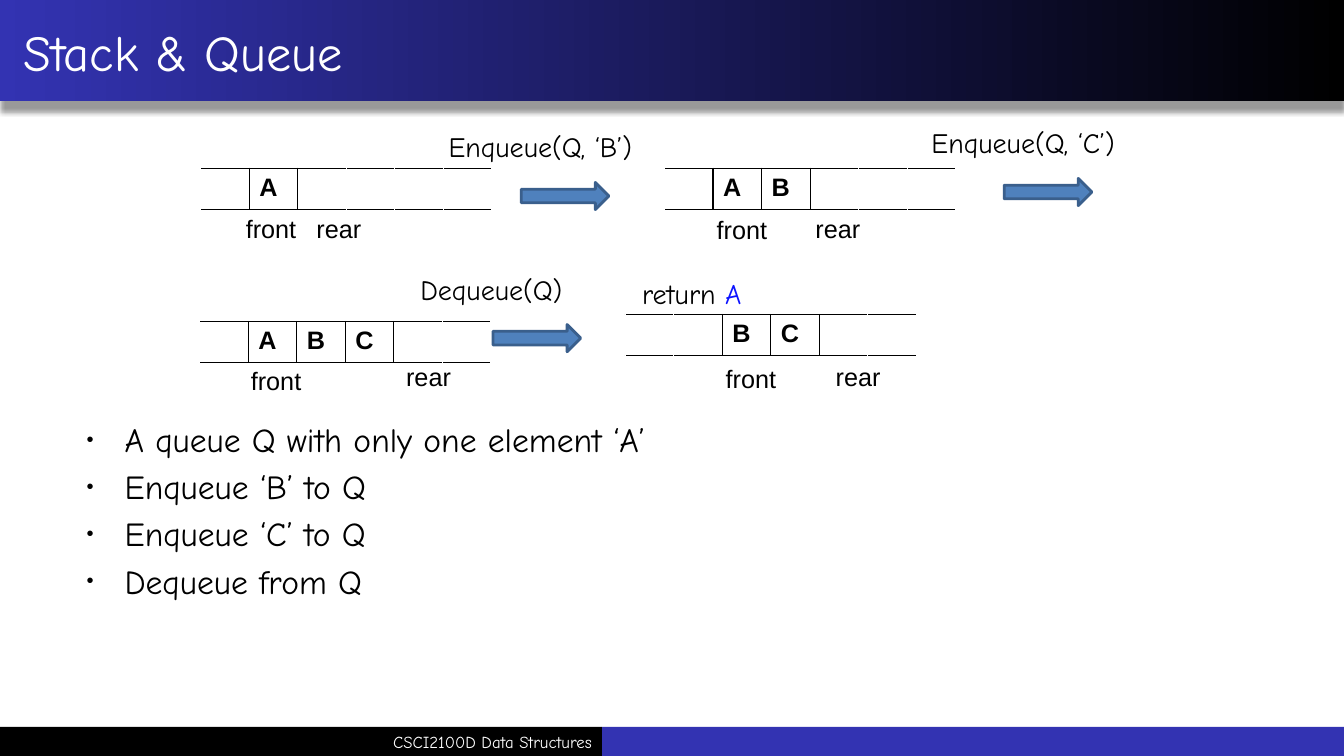
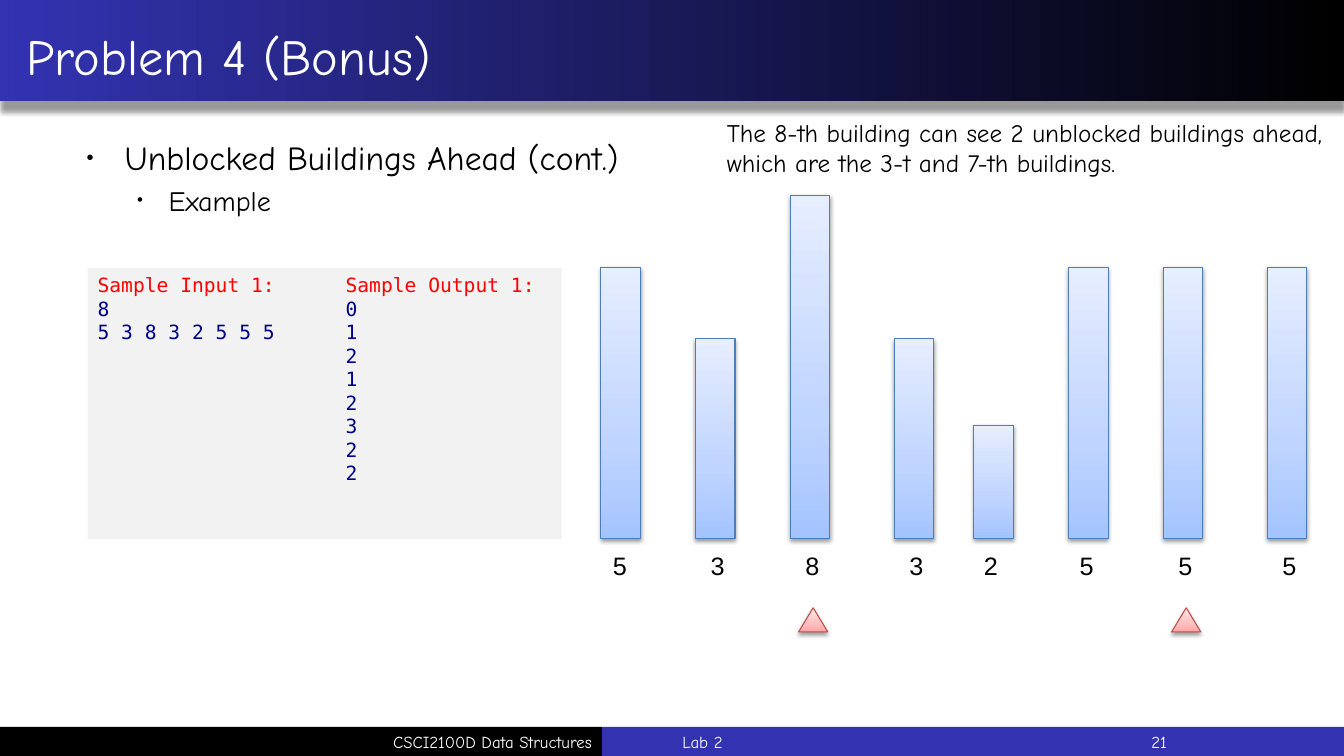
from dataclasses import dataclass

from pptx import Presentation
from pptx.dml.color import RGBColor
from pptx.enum.shapes import MSO_SHAPE as Shape
from pptx.enum.text import MSO_ANCHOR as Anchor, PP_ALIGN as Align
from pptx.oxml.ns import qn
from pptx.util import Inches, Pt
from lxml.etree import SubElement


@dataclass(frozen=True)
class Theme:
    hand: str = "Comic Neue"
    sans: str = "Arial"
    mono: str = "DejaVu Sans Mono"
    black: str = "000000"
    white: str = "FFFFFF"
    blue: str = "3333B2"
    accent: str = "0D14FF"
    arrow: str = "4F81BD"
    arrow_edge: str = "3A5F8C"
    panel: str = "F2F2F2"
    code_head: str = "FF0000"
    code: str = "000088"
    building_edge: str = "4B7EBC"
    marker_edge: str = "BF4C48"
    band: tuple = ((0, "000000"), (100, "3333B2"))
    building: tuple = ((0, "A4C4FF"), (35, "BFD4FF"), (100, "E6EEFF"))
    marker: tuple = ((0, "FFA6A5"), (35, "FFC0BF"), (100, "FFE7E7"))
    # opacity in percent, blur and distance in points
    band_shadow: tuple = (40, 4, 7)
    soft_shadow: tuple = (38, 3.1, 1.6)
    title_size: int = 36
    list_sizes: tuple = (24, 20)
    step_size: int = 20
    label_size: int = 18
    code_size: int = 14
    footer_size: int = 12


THEME = Theme()
WIDTH, HEIGHT = 13.33, 7.5
FOOTER_TOP, FOOTER_HEIGHT = 7.21, 0.29
FOOTER_SPLIT = 5.97
QUEUE_CELLS, QUEUE_WIDTH, QUEUE_HEIGHT = 6, 2.89, 0.41
BUILDING_WIDTH, GROUND = 0.39, 5.34
BUILDING_HEIGHTS = {2: 1.12, 3: 1.98, 5: 2.69, 8: 3.4}


def box(left, top, width, height):
    return tuple(Inches(length) for length in (left, top, width, height))


def add_color(parent, value):
    return SubElement(parent, qn("a:srgbClr"), val=value)


def set_gradient(shape, stops, angle):
    shape.fill.gradient()
    gradient = shape.element.spPr.find(qn("a:gradFill"))
    for child in list(gradient):
        gradient.remove(child)
    stop_list = SubElement(gradient, qn("a:gsLst"))
    for position, color in stops:
        add_color(SubElement(stop_list, qn("a:gs"), pos=str(position * 1000)), color)
    SubElement(gradient, qn("a:lin"), ang=str(angle * 60000), scaled="0")


def set_shadow(shape, opacity, blur, distance):
    effects = shape.element.spPr.find(qn("a:effectLst"))
    shadow = SubElement(effects, qn("a:outerShdw"), blurRad=str(Pt(blur)),
                        dist=str(Pt(distance)), dir=str(90 * 60000), rotWithShape="0")
    SubElement(add_color(shadow, THEME.black), qn("a:alpha"), val=str(opacity * 1000))


def set_borders(cell, **colors):
    properties = cell._tc.get_or_add_tcPr()
    for side in "LRTB":
        line = SubElement(properties, qn(f"a:ln{side}"), w=str(Pt(1)))
        add_color(SubElement(line, qn("a:solidFill")), colors[side])


def style(paragraph, font, size, color, bold=False):
    for run in paragraph.runs:
        run.font.name = font
        run.font.size = Pt(size)
        run.font.bold = bold
        run.font.color.rgb = RGBColor.from_string(color)


class Deck:
    def __init__(self):
        self.show = Presentation()
        self.show.slide_width = Inches(WIDTH)
        self.show.slide_height = Inches(HEIGHT)
        self.layout = self.show.slide_layouts[1]
        self.slide = None

    def new_slide(self, title, inset, top):
        first = self.slide is None
        self.slide = self.show.slides.add_slide(self.layout)
        if first:
            self.share_bands()
        heading = self.slide.shapes.title
        heading.left, heading.top, heading.width, heading.height = box(0, top, WIDTH, 0.98)
        frame = heading.text_frame
        frame.text = title
        frame.margin_left = Inches(inset)
        frame.vertical_anchor = Anchor.MIDDLE
        frame.paragraphs[0].alignment = Align.LEFT
        style(frame.paragraphs[0], THEME.hand, THEME.title_size, THEME.white)

    def share_bands(self):
        """Draw the bands and the course name, then move them to the layout."""
        header = self.shape(Shape.RECTANGLE, (0, -0.01, WIDTH, 1.01))
        set_gradient(header, THEME.band, 180)
        set_shadow(header, *THEME.band_shadow)
        right = self.shape(Shape.RECTANGLE, (FOOTER_SPLIT, FOOTER_TOP,
                                             WIDTH - FOOTER_SPLIT, FOOTER_HEIGHT), THEME.blue)
        left = self.shape(Shape.RECTANGLE, (0, FOOTER_TOP, FOOTER_SPLIT, FOOTER_HEIGHT),
                          THEME.black)
        course = self.footer("CSCI2100D Data Structures", 0.02, 5.95, Align.RIGHT)
        for part in (header, right, left, course):
            self.layout.shapes.element.append(part.element)

    def shape(self, kind, place, fill=None, edge=None, edge_width=0.75):
        shape = self.slide.shapes.add_shape(kind, *box(*place))
        if fill:
            shape.fill.solid()
            shape.fill.fore_color.rgb = RGBColor.from_string(fill)
        if edge:
            shape.line.color.rgb = RGBColor.from_string(edge)
            shape.line.width = Pt(edge_width)
        else:
            shape.line.fill.background()
        shape.shadow.inherit = False
        return shape

    def glossy(self, kind, place, stops, edge):
        shape = self.shape(kind, place, edge=edge)
        set_gradient(shape, stops, 270)
        set_shadow(shape, *THEME.soft_shadow)

    def text(self, words, place, font=THEME.sans, size=THEME.label_size,
             color=THEME.black, wrap=True):
        label = self.slide.shapes.add_textbox(*box(*place))
        label.text_frame.word_wrap = wrap
        label.text_frame.text = words
        style(label.text_frame.paragraphs[0], font, size, color)
        return label

    def footer(self, words, left, width, align=Align.LEFT):
        label = self.text(words, (left, FOOTER_TOP, width, FOOTER_HEIGHT),
                          THEME.hand, THEME.footer_size, THEME.white)
        label.text_frame.vertical_anchor = Anchor.MIDDLE
        label.text_frame.paragraphs[0].alignment = align
        return label

    def bullets(self, items, top):
        """Fill the body placeholder with (level, words) pairs."""
        body = self.slide.placeholders[1]
        body.left, body.top, body.width, body.height = box(0.76, top, 11.81, 6.7 - top)
        frame = body.text_frame
        frame.text = "\n".join(words for _, words in items)
        for paragraph, (level, _) in zip(frame.paragraphs, items):
            paragraph.level = level
            style(paragraph, THEME.hand, THEME.list_sizes[level], THEME.black)
            properties = paragraph._p.get_or_add_pPr()
            SubElement(properties, qn("a:buSzPct"), val="60000")
            SubElement(properties, qn("a:buChar"), char="•")

    def queue(self, left, top, letters, start, front, rear):
        """Draw a queue holding letters from cell start on, with its two end labels."""
        place = box(left, top, QUEUE_WIDTH, QUEUE_HEIGHT)
        table = self.slide.shapes.add_table(1, QUEUE_CELLS, *place).table
        table.first_row = table.horz_banding = False
        held = dict(enumerate(letters, start))
        edges = [THEME.black if i in held or i - 1 in held else THEME.white
                 for i in range(QUEUE_CELLS + 1)]
        for i, column in enumerate(table.columns):
            column.width = Inches(QUEUE_WIDTH / QUEUE_CELLS)
            cell = table.cell(0, i)
            set_borders(cell, L=edges[i], R=edges[i + 1], T=THEME.black, B=THEME.black)
            cell.fill.solid()
            cell.fill.fore_color.rgb = RGBColor.from_string(THEME.white)
            cell.text_frame.text = held.get(i, "")
            style(cell.text_frame.paragraphs[0], THEME.sans, THEME.label_size,
                  THEME.black, bold=True)
        for words, corner in (("front", front), ("rear", rear)):
            self.text(words, (*corner, 0.87, 0.4))

    def step(self, call, left, top):
        """Draw an operation's name with an arrow below it."""
        self.shape(Shape.RIGHT_ARROW, (left + 0.82, top + 0.57, 0.87, 0.27),
                   THEME.arrow, THEME.arrow_edge, 2)
        self.text(call, (left, top, 2.19, 0.44), THEME.hand, THEME.step_size)

    def samples(self, place, rows):
        """Draw a code panel with an input and an output column."""
        panel = self.shape(Shape.RECTANGLE, place, THEME.panel)
        frame = panel.text_frame
        frame.vertical_anchor = Anchor.TOP
        frame.text = "\n".join("\t".join(row) for row in rows)
        for i, paragraph in enumerate(frame.paragraphs):
            paragraph.alignment = Align.LEFT
            style(paragraph, THEME.mono, THEME.code_size, THEME.code if i else THEME.code_head)
            tabs = SubElement(paragraph._p.get_or_add_pPr(), qn("a:tabLst"))
            SubElement(tabs, qn("a:tab"), pos=str(Inches(2.46)), algn="l")

    def building(self, value, left, label_left, marked):
        height = BUILDING_HEIGHTS[value]
        self.glossy(Shape.RECTANGLE, (left, GROUND - height, BUILDING_WIDTH, height),
                    THEME.building, THEME.building_edge)
        self.text(str(value), (label_left, 5.41, 0.34, 0.4), wrap=False)
        if marked:
            self.glossy(Shape.ISOSCELES_TRIANGLE, (left + 0.08, 6.03, 0.29, 0.24),
                        THEME.marker, THEME.marker_edge)


def queue_slide(deck):
    deck.new_slide("Stack & Queue", 0.23, 0.02)
    deck.queue(1.99, 1.67, "A", 1, front=(2.34, 2.07), rear=(3.04, 2.07))
    deck.queue(6.59, 1.67, "AB", 1, front=(7.01, 2.08), rear=(7.99, 2.07))
    deck.queue(1.98, 3.19, "ABC", 1, front=(2.39, 3.58), rear=(3.93, 3.54))
    deck.queue(6.2, 3.12, "BC", 2, front=(7.1, 3.56), rear=(8.19, 3.54))
    deck.step("Enqueue(Q, ‘B’)", 4.35, 1.24)
    deck.step("Enqueue(Q, ‘C’)", 9.14, 1.2)
    deck.step("Dequeue(Q)", 4.07, 2.65)
    result = deck.text("return ", (6.27, 2.69, 1.34, 0.44), THEME.hand,
                       THEME.step_size, wrap=False).text_frame.paragraphs[0]
    result.add_run().text = "A"
    style(result, THEME.hand, THEME.step_size, THEME.black)
    result.runs[1].font.color.rgb = RGBColor.from_string(THEME.accent)
    deck.bullets([(0, "A queue Q with only one element ‘A’"), (0, "Enqueue ‘B’ to Q"),
                  (0, "Enqueue ‘C’ to Q"), (0, "Dequeue from Q")], 4.11)


def buildings_slide(deck):
    deck.new_slide("Problem 4 (Bonus)", 0.26, 0.06)
    deck.footer("21", 10.42, 1.25, Align.RIGHT)
    deck.footer("Lab 2", 6.67, 4.41)
    deck.bullets([(0, "Unblocked Buildings Ahead (cont.)"), (1, "Example")], 1.31)
    inputs = ["Sample Input 1:", "8", "5 3 8 3 2 5 5 5"] + [""] * 6
    outputs = ["Sample Output 1:", *"01212322"]
    deck.samples((0.87, 2.66, 4.7, 2.69), zip(inputs, outputs))
    street = [(5, 5.96, 5.98), (3, 6.9, 6.95), (8, 7.84, 7.89), (3, 8.87, 8.92),
              (2, 9.66, 9.66), (5, 10.6, 10.61), (5, 11.54, 11.59), (5, 12.57, 12.62)]
    for number, (value, left, label_left) in enumerate(street, 1):
        deck.building(value, left, label_left, marked=number in (3, 7))
    deck.text("The 8-th building can see 2 unblocked buildings ahead, "
              "which are the 3-t and 7-th buildings.", (7.11, 1.11, 6.22, 0.71), THEME.hand)


def main():
    deck = Deck()
    queue_slide(deck)
    buildings_slide(deck)
    deck.show.save("out.pptx")


if __name__ == "__main__":
    main()
